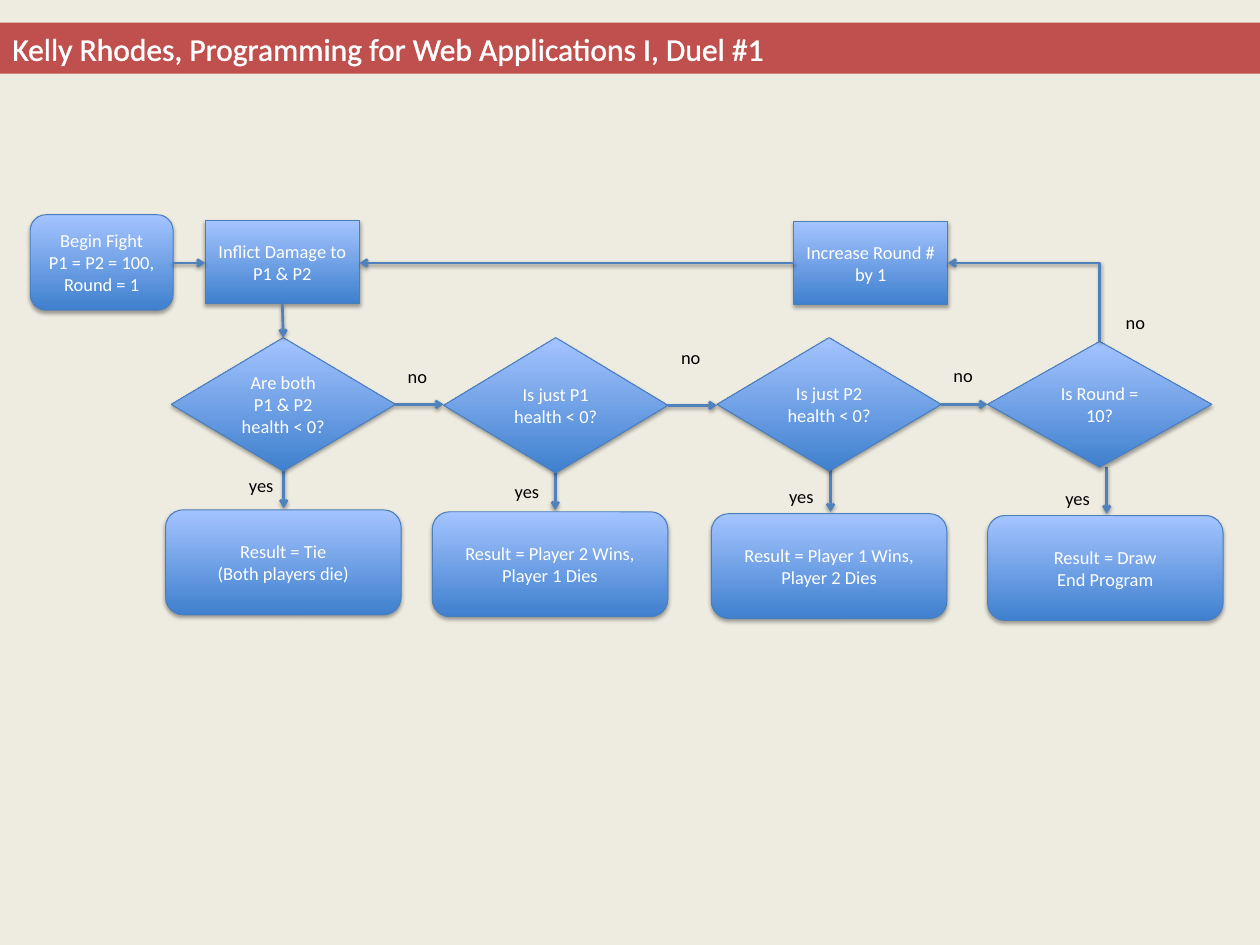
from dataclasses import dataclass

from lxml.etree import SubElement
from pptx import Presentation
from pptx.dml.color import RGBColor
from pptx.enum.shapes import MSO_CONNECTOR as LINK, MSO_SHAPE as SHAPE
from pptx.enum.text import MSO_ANCHOR as ANCHOR, PP_ALIGN as ALIGN
from pptx.oxml.ns import qn
from pptx.util import Inches, Pt

WIDTH, HEIGHT = Inches(13.32), Inches(9.99)
COLUMNS, ROWS = 100, 75
COLORS = {
    "page": "EEECE1", "banner": "C0504D", "light": "FFFFFF", "dark": "000000",
    "low": "3F80CE", "high": "A4C4FF", "edge": "4B7EBC", "arrow": "4F81BD",
}
DECISION_WIDTH = 17.79
RESULT_SIZE = (18.69, 8.33)
STEP_SIZE = (12.24, 6.61)
LABEL_SIZE = (6.16, 2.78)
LOOP_ROW = 20.87


@dataclass
class Stage:
    """One question of the duel, its result and its places on the grid."""
    question: str
    result: list
    box: tuple
    result_left: float
    exit: tuple
    yes: tuple
    no: tuple


STAGES = [
    Stage("Are both P1 & P2 health < 0?", ["Result = Tie", "(Both players die)"],
          (13.59, 26.8, DECISION_WIDTH, 10.59), 13.14,
          (22.52, 36.64), (16.52, 37.09), (31.38, 28.45)),
    Stage("Is just P1 health < 0?", ["Result = Player 2 Wins, Player 1 Dies"],
          (35.21, 26.8, DECISION_WIDTH, 10.74), 34.31,
          (44.07, 36.86), (37.61, 37.54), (53.08, 26.95)),
    Stage("Is just P2 health < 0?", ["Result = Player 1 Wins, Player 2 Dies"],
          (56.91, 26.8, DECISION_WIDTH, 10.59), 56.46,
          (65.92, 36.94), (59.38, 37.99), (74.7, 28.38)),
    Stage("Is Round = 10?", ["Result = Draw", "End Program"],
          (78.38, 27.1, DECISION_WIDTH, 9.98), 78.38,
          (87.84, 37.09), (81.31, 38.14), (88.36, 24.17)),
]


def color(name):
    """Return the named colour."""
    return RGBColor.from_string(COLORS[name])


def grid(*cells):
    """Turn alternating column and row counts into slide lengths."""
    units = (WIDTH / COLUMNS, HEIGHT / ROWS)
    return [round(cell * units[i % 2]) for i, cell in enumerate(cells)]


def add_shadow(properties, opacity, distance):
    """Give shape properties a soft shadow that falls straight down."""
    effects = properties.find(qn("a:effectLst"))
    if effects is None:
        effects = SubElement(properties, qn("a:effectLst"))
    shadow = SubElement(effects, qn("a:outerShdw"), blurRad=str(Pt(3.1)),
                        dist=str(Pt(distance)), dir="5400000", rotWithShape="0")
    tone = SubElement(shadow, qn("a:srgbClr"), val=COLORS["dark"])
    SubElement(tone, qn("a:alpha"), val=str(opacity * 1000))


def write(shape, lines, size=14, tone="light", align=ALIGN.CENTER,
          anchor=ANCHOR.MIDDLE):
    """Fill a shape with one paragraph per line and return the last span."""
    frame = shape.text_frame
    frame.word_wrap = True
    frame.vertical_anchor = anchor
    frame.margin_left = frame.margin_right = Inches(0.13)
    frame.margin_top = frame.margin_bottom = Inches(0.07)
    for number, line in enumerate(lines):
        para = frame.add_paragraph() if number else frame.paragraphs[0]
        para.alignment = align
        span = para.add_run()
        span.text = line
        span.font.name, span.font.size = "Calibri", Pt(size)
        span.font.color.rgb = color(tone)
    return span


def add_node(page, kind, box, lines):
    """Draw a flowchart node with its gradient, shadow and text."""
    node = page.shapes.add_shape(kind, *grid(*box))
    node.fill.gradient()
    node.fill.gradient_angle = 90
    for stop, name in zip(node.fill.gradient_stops, ("low", "high")):
        stop.color.rgb = color(name)
    node.line.color.rgb = color("edge")
    node.line.width = Pt(0.75)
    node.shadow.inherit = False
    add_shadow(node._element.spPr, 35, 1.8)
    write(node, lines)


def add_arrow(page, start, end, kind=LINK.STRAIGHT):
    """Draw an arrow between two grid points."""
    arrow = page.shapes.add_connector(kind, *grid(*start, *end))
    arrow.line.color.rgb = color("arrow")
    arrow.line.width = Pt(2)
    SubElement(arrow.line._get_or_add_ln(), qn("a:tailEnd"), type="arrow")
    add_shadow(arrow._element.spPr, 38, 1.6)
    return arrow


def add_corner_arrow(page, start, end):
    """Draw an arrow that rises from start and then turns left to end."""
    middle_x, middle_y = (start[0] + end[0]) / 2, (start[1] + end[1]) / 2
    half_run, half_rise = (start[0] - end[0]) / 2, (start[1] - end[1]) / 2
    arrow = add_arrow(page, (middle_x - half_rise, middle_y + half_run),
                      (middle_x + half_rise, middle_y - half_run), LINK.ELBOW)
    properties = arrow._element.spPr
    properties.find(qn("a:xfrm")).set("rot", "16200000")
    properties.find(qn("a:prstGeom")).set("prst", "bentConnector2")


def add_label(page, place, text, align):
    """Write the answer beside an arrow."""
    label = page.shapes.add_textbox(*grid(*place, *LABEL_SIZE))
    write(label, [text], tone="dark", align=align, anchor=ANCHOR.TOP)


def add_banner(page, box):
    """Draw the title band."""
    banner = page.shapes.add_shape(SHAPE.RECTANGLE, *grid(*box))
    banner.shadow.inherit = False
    banner.fill.solid()
    banner.fill.fore_color.rgb = color("banner")
    banner.line.fill.background()
    title = "Kelly Rhodes, Programming for Web Applications I, Duel #1"
    span = write(banner, [title], size=24, align=ALIGN.LEFT, anchor=ANCHOR.TOP)
    letters = span.font._element
    outline = SubElement(letters, qn("a:ln"), w=str(Pt(1.45)))
    fill = SubElement(outline, qn("a:solidFill"))
    SubElement(fill, qn("a:srgbClr"), val=COLORS["light"])
    letters.insert(0, outline)


def add_stage(page, stage, result_top):
    """Draw a decision, its result and the answers around them."""
    add_arrow(page, stage.exit, (stage.exit[0], result_top - 0.15))
    add_node(page, SHAPE.FLOWCHART_ALTERNATE_PROCESS,
             (stage.result_left, result_top, *RESULT_SIZE), stage.result)
    add_node(page, SHAPE.FLOWCHART_DECISION, stage.box, [stage.question])
    add_label(page, stage.yes, "yes", ALIGN.RIGHT)
    add_label(page, stage.no, "no", ALIGN.LEFT)


def add_decisions(page, stages, result_top):
    """Draw the row of stages and the arrows from each to the next."""
    for number, stage in enumerate(stages):
        add_stage(page, stage, result_top + 0.15 * number)
    for stage, following in zip(stages, stages[1:]):
        left, top, width, height = stage.box
        row = top + height / 2
        add_arrow(page, (left + width, row), (following.box[0], row))


def add_loop(page, begin, damage, increase, first, last):
    """Draw the top row, which starts the fight and repeats each round."""
    add_node(page, SHAPE.FLOWCHART_ALTERNATE_PROCESS, begin,
             ["Begin Fight", "P1 = P2 = 100,", "Round = 1"])
    for box, text in ((damage, "Inflict Damage to P1 & P2"),
                      (increase, "Increase Round # by 1")):
        add_node(page, SHAPE.FLOWCHART_PROCESS, box, [text])
    add_arrow(page, (begin[0] + begin[2], LOOP_ROW), (damage[0], LOOP_ROW))
    add_arrow(page, (increase[0], LOOP_ROW), (damage[0] + damage[2], LOOP_ROW))
    add_arrow(page, (damage[0] + damage[2] / 2, damage[1] + damage[3]),
              (first[0] + first[2] / 2, first[1]))
    add_corner_arrow(page, (last[0] + last[2] / 2, last[1]),
                     (increase[0] + increase[2], LOOP_ROW))


deck = Presentation()
deck.slide_width, deck.slide_height = WIDTH, HEIGHT
page = deck.slides.add_slide(deck.slide_layouts[6])
page.background.fill.solid()
page.background.fill.fore_color.rgb = color("page")
add_banner(page, (0, 1.8, COLUMNS, 4.05))
add_decisions(page, STAGES, 40.47)
add_loop(page, (2.4, 17.04, 11.34, 7.58), (16.29, 17.49, *STEP_SIZE),
         (62.99, 17.57, *STEP_SIZE), STAGES[0].box, STAGES[-1].box)
deck.save("out.pptx")
